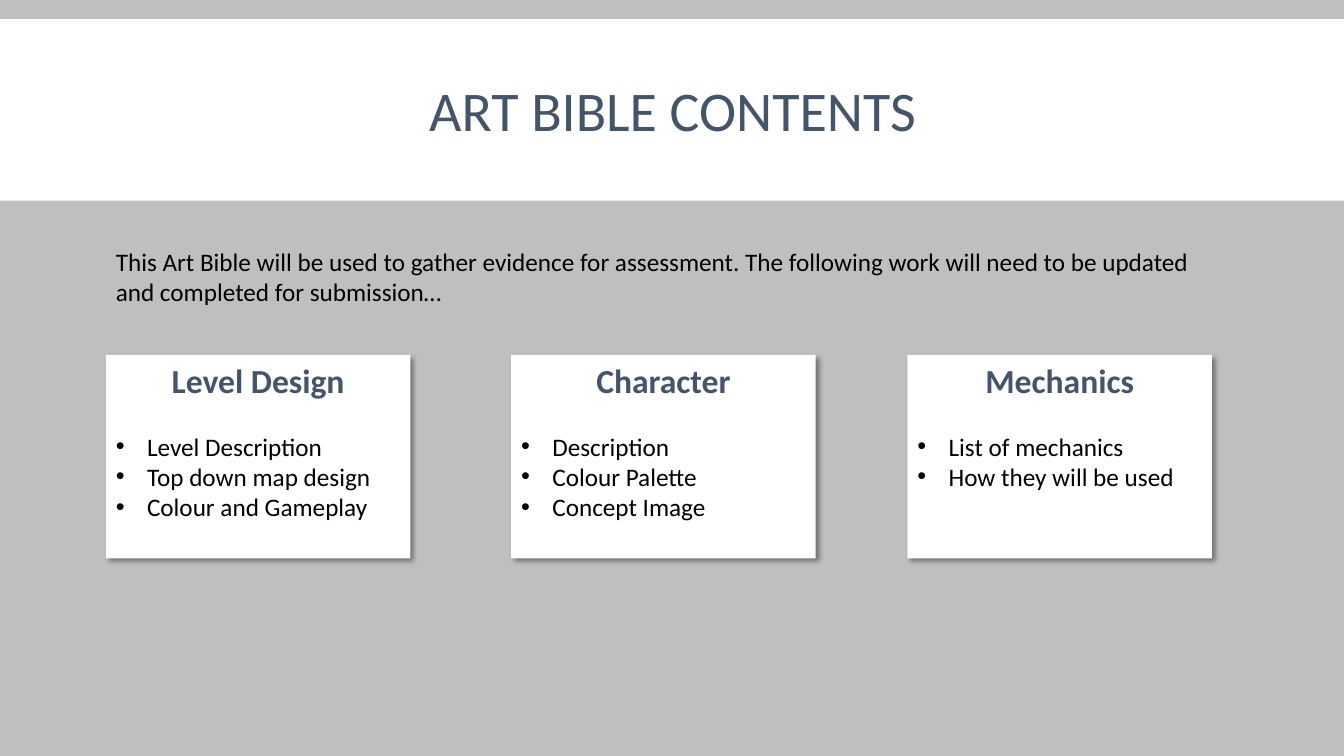
from lxml import etree
from pptx import Presentation
from pptx import util as u
from pptx.dml import color
from pptx.enum import shapes, text
from pptx.oxml import ns

COLORS = {"page": "BFBFBF", "panel": "FFFFFF", "heading": "44546A", "body": "000000"}
TITLE = {"size": u.Pt(40), "bold": False}
HEADING = {"size": u.Pt(24), "bold": True}
BODY = {"size": u.Pt(18), "bold": False}
CARDS = [
    (1.05, "Level Design", ["Level Description", "Top down map design", "Colour and Gameplay"]),
    (5.07, "Character", ["Description", "Colour Palette", "Concept Image"]),
    (9, "Mechanics", ["List of mechanics", "How they will be used"]),
]


def rgb(name):
    return color.RGBColor.from_string(COLORS[name])


def set_format(target, values):
    for name, value in values.items():
        setattr(target, name, value)


def write(para, words, font, ink, **layout):
    span = para.add_run()
    span.text = words
    set_format(span.font, {"name": "Calibri", **font})
    span.font.color.rgb = rgb(ink)
    set_format(para, layout)


def add_panel(page, left, top, width, height):
    box = page.shapes.add_shape(
        shapes.MSO_SHAPE.RECTANGLE, *map(u.Inches, (left, top, width, height)))
    box.shadow.inherit = False
    box.fill.solid()
    box.fill.fore_color.rgb = rgb("panel")
    box.line.fill.background()
    return box


def add_shadow(box):
    effects = box.element.spPr.find(ns.qn("a:effectLst"))
    shadow = etree.SubElement(
        effects, ns.qn("a:outerShdw"), blurRad=str(u.Pt(4)), dist=str(u.Pt(3)),
        dir=str(45 * 60000), algn="tl", rotWithShape="0")
    tint = etree.SubElement(shadow, ns.qn("a:srgbClr"), val=COLORS["body"])
    etree.SubElement(tint, ns.qn("a:alpha"), val="40000")


def add_bullet(para):
    props = para._p.get_or_add_pPr()
    indent = u.Inches(0.31)
    props.set("marL", str(indent))
    props.set("indent", str(-indent))
    etree.SubElement(props, ns.qn("a:buFont"), typeface="Arial")
    etree.SubElement(props, ns.qn("a:buChar"), char="•")


def add_card(page, left, heading, items):
    box = add_panel(page, left, 3.52, 3.02, 2.02)
    add_shadow(box)
    frame = box.text_frame
    set_format(frame, {"word_wrap": True, "vertical_anchor": text.MSO_ANCHOR.TOP})
    write(frame.paragraphs[0], heading, HEADING, "heading",
          alignment=text.PP_ALIGN.CENTER, space_after=u.Pt(22))
    for item in items:
        para = frame.add_paragraph()
        write(para, item, BODY, "body", alignment=text.PP_ALIGN.LEFT)
        add_bullet(para)


def add_title(page, words):
    title = page.shapes.title
    set_format(title, {"left": u.Inches(1.32), "top": u.Inches(0.31),
                       "width": u.Inches(10.7), "height": u.Inches(1.65)})
    set_format(title.text_frame, {"word_wrap": True, "auto_size": text.MSO_AUTO_SIZE.NONE,
                                  "vertical_anchor": text.MSO_ANCHOR.MIDDLE})
    write(title.text_frame.paragraphs[0], words, TITLE, "heading",
          alignment=text.PP_ALIGN.CENTER, line_spacing=0.85)
    band = add_panel(page, 0, 0.19, 13.33, 1.8)
    title.element.addprevious(band.element)


def add_intro(page, words):
    box = page.shapes.add_textbox(*map(u.Inches, (1.05, 2.39, 11.22, 0.71)))
    set_format(box.text_frame, {"word_wrap": True,
                                "auto_size": text.MSO_AUTO_SIZE.SHAPE_TO_FIT_TEXT})
    write(box.text_frame.paragraphs[0], words, BODY, "body")


def main():
    deck = Presentation()
    set_format(deck, {"slide_width": u.Inches(13.33), "slide_height": u.Inches(7.5)})
    page = deck.slides.add_slide(deck.slide_layouts.get_by_name("Title Only"))
    page.background.fill.solid()
    page.background.fill.fore_color.rgb = rgb("page")
    add_title(page, "ART BIBLE CONTENTS")
    add_intro(page, "This Art Bible will be used to gather evidence for assessment. "
                    "The following work will need to be updated and completed for submission…")
    for left, heading, items in CARDS:
        add_card(page, left, heading, items)
    deck.save("out.pptx")


if __name__ == "__main__":
    main()
